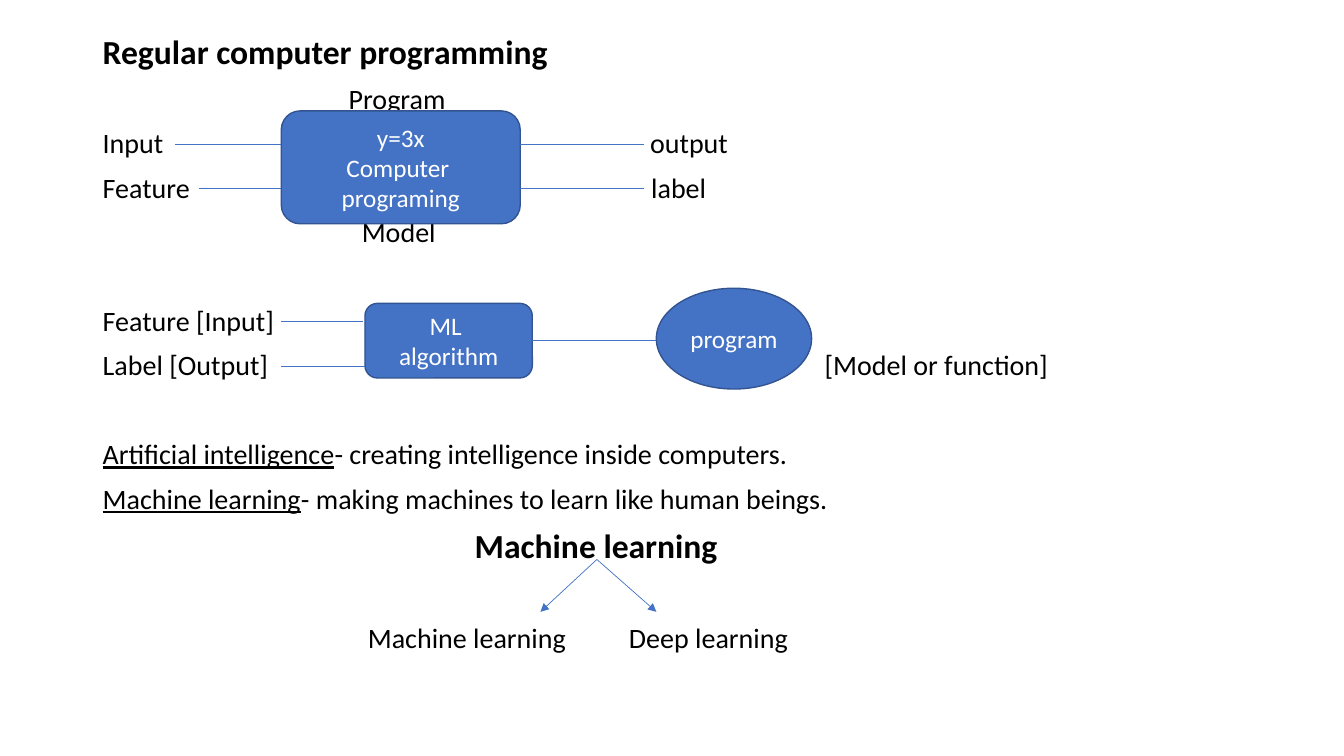
"""Build a slide comparing regular programming with machine learning."""
import pptx
import pptx.util
import pptx.dml.color
import pptx.enum.shapes
import pptx.enum.text
import pptx.oxml.ns
import lxml.etree

COLORS = {"text": "000000", "blue": "4472C4", "outline": "325491", "white": "FFFFFF"}
FONT = "Calibri"
SHAPES = pptx.enum.shapes.MSO_SHAPE
CELL = pptx.util.Inches(0.1)
LINE_GAP, SECTION_GAP = 10, 42

presentation = pptx.Presentation()
presentation.slide_width = pptx.util.Inches(13.33)
presentation.slide_height = pptx.util.Inches(7.5)
slide = presentation.slides.add_slide(presentation.slide_layouts[6])


def grid(*cells):
    return [round(cell * CELL) for cell in cells]


def set_font(font, size, color, bold=False):
    font.name = FONT
    font.size = pptx.util.Pt(size)
    font.bold = bold
    font.color.rgb = pptx.dml.color.RGBColor.from_string(COLORS[color])


# Each line: tab stops, space before, size, bold, runs as (text, underlined)
text_lines = [
    ([], 0, 24, True, [("Regular computer programming", False)]),
    ([24.4], LINE_GAP, 20, False, [("\tProgram", False)]),
    ([54.3], LINE_GAP, 20, False, [("Input\toutput", False)]),
    ([54.4], LINE_GAP, 20, False, [("Feature\tlabel", False)]),
    ([25.7], LINE_GAP, 20, False, [("\tModel", False)]),
    ([], SECTION_GAP, 20, False, [("Feature [Input]", False)]),
    ([71.6], LINE_GAP, 20, False, [("Label [Output]\t[Model or function]", False)]),
    ([], SECTION_GAP, 20, False, [("Artificial intelligence", True),
                                  ("- creating intelligence inside computers.", False)]),
    ([], LINE_GAP, 20, False, [("Machine learning", True),
                               ("- making machines to learn like human beings.", False)]),
    ([36.9], LINE_GAP, 24, True, [("\tMachine learning", False)]),
    ([26.3, 52.2], SECTION_GAP, 20, False, [("\tMachine learning\tDeep learning", False)]),
]
text_frame = slide.shapes.add_textbox(*grid(9.2, 3, 115, 68.2)).text_frame
text_frame.word_wrap = True
for index, (tabs, gap, size, bold, runs) in enumerate(text_lines):
    paragraph = text_frame.add_paragraph() if index else text_frame.paragraphs[0]
    paragraph.line_spacing = 0.9
    paragraph.space_before = pptx.util.Pt(gap)
    if tabs:
        properties = paragraph._p.get_or_add_pPr()
        tab_list = lxml.etree.SubElement(properties, pptx.oxml.ns.qn("a:tabLst"))
        for position in grid(*tabs):
            lxml.etree.SubElement(tab_list, pptx.oxml.ns.qn("a:tab"),
                                  pos=str(position), algn="l")
    set_font(paragraph.font, size, "text", bold)
    for text, underlined in runs:
        run = paragraph.add_run()
        run.text = text
        if underlined:
            run.font.underline = True

boxes = [
    (SHAPES.ROUNDED_RECTANGLE, (27.9, 11, 23.7, 11.2), "y=3x\nComputer \nprograming"),
    (SHAPES.ROUNDED_RECTANGLE, (36.2, 30.1, 16.6, 7.4), "ML \nalgorithm"),
    (SHAPES.OVAL, (65.1, 28.6, 15.4, 10), "program"),
]
for kind, place, text in boxes:
    shape = slide.shapes.add_shape(kind, *grid(*place))
    shape.shadow.inherit = False
    shape.fill.solid()
    shape.fill.fore_color.rgb = pptx.dml.color.RGBColor.from_string(COLORS["blue"])
    shape.line.color.rgb = pptx.dml.color.RGBColor.from_string(COLORS["outline"])
    shape.line.width = pptx.util.Pt(1)
    shape.text_frame.text = text
    shape.text_frame.vertical_anchor = pptx.enum.text.MSO_ANCHOR.MIDDLE
    for paragraph in shape.text_frame.paragraphs:
        paragraph.alignment = pptx.enum.text.PP_ALIGN.CENTER
        set_font(paragraph.font, 18, "white")

links = [
    (17.4, 14.3, 27.9, 14.3, False), (19.7, 18.7, 27.9, 18.7, False),
    (51.6, 14.3, 63.9, 14.3, False), (51.6, 18.7, 63.9, 18.7, False),
    (27.9, 31.9, 36, 31.9, False), (27.9, 36.3, 36.2, 36.3, False),
    (52.8, 33.8, 65.1, 33.8, False),
    (59.2, 55.5, 53.6, 60.7, True), (59.2, 55.5, 65.1, 60.7, True),
]
for *ends, arrow in links:
    connector = slide.shapes.add_connector(
        pptx.enum.shapes.MSO_CONNECTOR.STRAIGHT, *grid(*ends))
    connector.line.color.rgb = pptx.dml.color.RGBColor.from_string(COLORS["blue"])
    connector.line.width = pptx.util.Pt(0.5)
    if arrow:
        lxml.etree.SubElement(connector.line._get_or_add_ln(),
                              pptx.oxml.ns.qn("a:tailEnd"), type="triangle")
    lxml.etree.SubElement(connector._element.spPr, pptx.oxml.ns.qn("a:effectLst"))

presentation.save("out.pptx")
